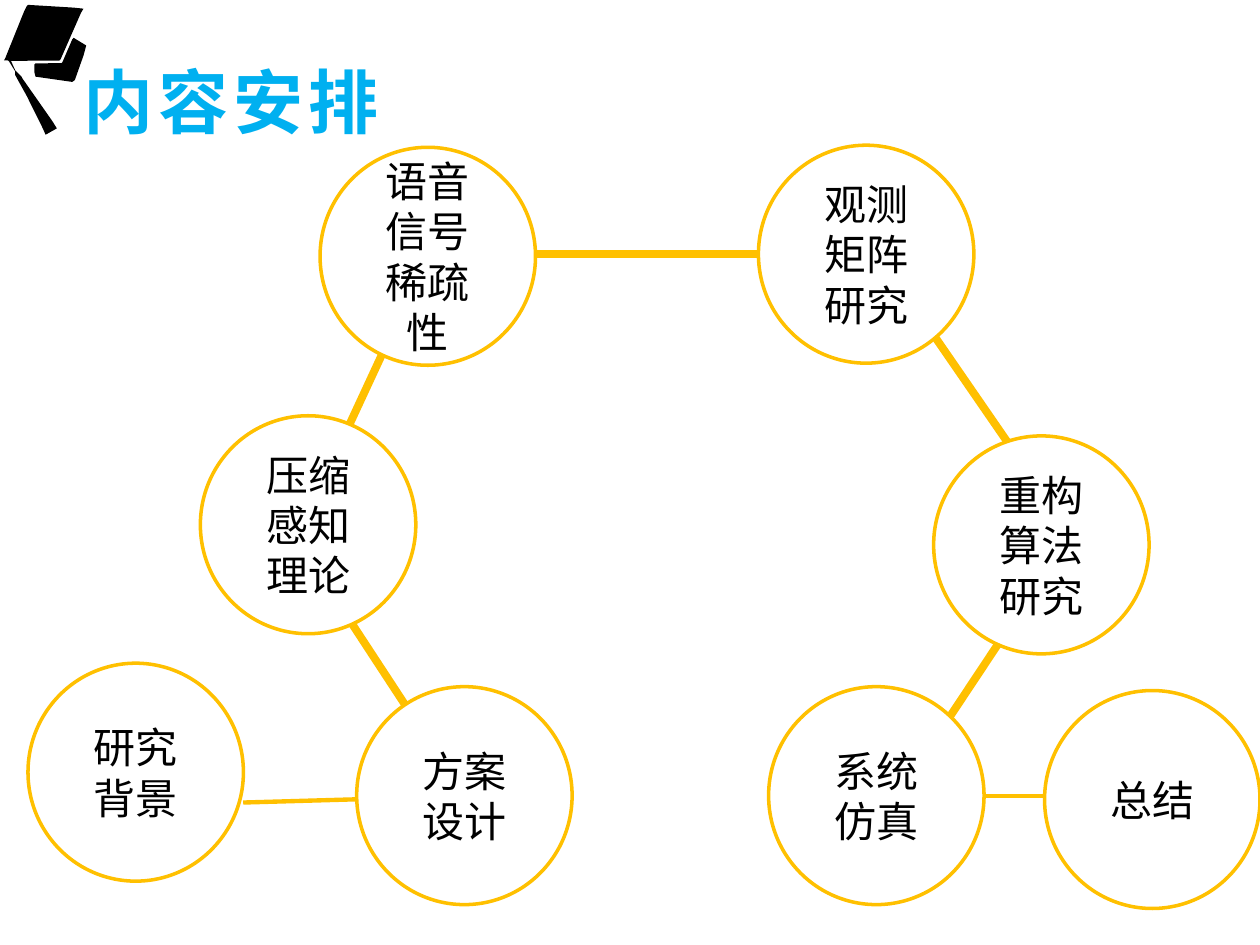
from lxml import etree
from pptx import Presentation
from pptx.dml.color import RGBColor
from pptx.enum import shapes, text
from pptx.oxml import ns
from pptx.util import Pt

BLUE = RGBColor(0x00, 0xB0, 0xF0)
GOLD = RGBColor(0xFF, 0xC0, 0x00)
BLACK = RGBColor(0, 0, 0)
WHITE = RGBColor(0xFF, 0xFF, 0xFF)
CJK_FONT = "Noto Sans CJK SC"

CIRCLE_WIDTH, CIRCLE_HEIGHT = 123.12, 124.56

# Topic circles: label, left, top within the diagram box
TOPICS = [
    ("压缩感知理论", 98.5, 154.6),
    ("研究背景", 0, 296),
    ("方案设计", 187.8, 309.4),
    ("语音信号稀疏性", 166.9, 1.2),
    ("观测矩阵研究", 417.4, 0),
    ("重构算法研究", 517.5, 166.1),
    ("系统仿真", 423.2, 309.4),
    ("总结", 580.9, 311.6),
]

# Points where the links meet, within the diagram box
BACKGROUND, PLAN = (123, 375.6), (249.7, 372)
THEORY_LOW, THEORY_HIGH = (155.4, 228), (154.6, 222.3)
SPARSITY, MATRIX = (228.8, 62.4), (485.8, 62.4)
ALGORITHM, SIMULATION, SUMMARY = (596, 222.3), (496.6, 372), (621.9, 372)

# Links: start, end, width, oval ends
LINKS = [
    (BACKGROUND, PLAN, 2.5, ("tailEnd",)),
    (SIMULATION, SUMMARY, 2.5, ("headEnd",)),
    (THEORY_LOW, PLAN, 4.5, ("headEnd",)),
    (THEORY_HIGH, SPARSITY, 4.5, ("headEnd", "tailEnd")),
    (SPARSITY, MATRIX, 4.5, ("headEnd", "tailEnd")),
    (MATRIX, ALGORITHM, 4.5, ()),
    (ALGORITHM, SIMULATION, 4.5, ()),
]

# Graduation cap outlines, in points within the cap box
CAP_BOARD = [
    (4, 32), (6.5, 37.5), (10, 41), (10.5, 42), (20, 55.5), (28, 67),
    (30.2, 70.6), (23.8, 74.2), (22.2, 70.6), (13, 52), (8, 43), (6.4, 40),
    (6.4, 38), (3, 32.4), (2.2, 31.7), (0, 31.7), (0.6, 30.8), (11.5, 3.8),
    (13, 0.8), (13.8, 0), (40, 1.6), (45.4, 2.2), (44, 4.6), (32.4, 31),
    (31.7, 31.8),
]
CAP_BASE = [
    (18, 41), (17.4, 38.5), (17.4, 34), (18, 33.4), (32.9, 33.3),
    (33.5, 32.6), (39, 19.8), (39.8, 18.8), (47, 23.2), (45.5, 28.8),
    (40.5, 43), (39, 44),
]


def add_run(paragraph, words, size, color, latin):
    run = paragraph.add_run()
    run.text = words
    run.font.size = Pt(size)
    run.font.name = latin
    run.font.color.rgb = color
    properties = run.font._element
    etree.SubElement(properties, ns.qn("a:ea")).set("typeface", CJK_FONT)
    return run


def add_title(slide, left, top, width, height):
    box = slide.shapes.add_textbox(Pt(left), Pt(top), Pt(width), Pt(height))
    box.text_frame.word_wrap = True
    box.text_frame.auto_size = text.MSO_AUTO_SIZE.SHAPE_TO_FIT_TEXT
    paragraph = box.text_frame.paragraphs[0]
    paragraph.alignment = text.PP_ALIGN.CENTER
    paragraph.line_spacing = 0.9
    run = add_run(paragraph, "内容安排", 40, BLUE, CJK_FONT)
    run.font.bold = True
    run.font._element.set("spc", "300")


def add_cap(slide, left, top):
    for outline in (CAP_BOARD, CAP_BASE):
        points = [(Pt(left + x), Pt(top + y)) for x, y in outline]
        builder = slide.shapes.build_freeform(*points[0])
        builder.add_line_segments(points[1:], close=True)
        shape = builder.convert_to_shape()
        shape.shadow.inherit = False
        shape.fill.solid()
        shape.fill.fore_color.rgb = BLACK
        shape.line.fill.background()


def add_link(slide, left, top, start, end, width, oval_ends):
    connector = slide.shapes.add_connector(
        shapes.MSO_CONNECTOR.STRAIGHT,
        Pt(left + start[0]), Pt(top + start[1]),
        Pt(left + end[0]), Pt(top + end[1]))
    connector.line.color.rgb = GOLD
    connector.line.width = Pt(width)
    line = connector.line._get_or_add_ln()
    for tag in oval_ends:
        etree.SubElement(line, ns.qn("a:" + tag)).set("type", "oval")
    etree.SubElement(connector._element.spPr, ns.qn("a:effectLst"))


def add_topic(slide, left, top, label):
    shape = slide.shapes.add_shape(
        shapes.MSO_SHAPE.OVAL, Pt(left), Pt(top),
        Pt(CIRCLE_WIDTH), Pt(CIRCLE_HEIGHT))
    shape.shadow.inherit = False
    shape.fill.solid()
    shape.fill.fore_color.rgb = WHITE
    shape.line.color.rgb = GOLD
    shape.line.width = Pt(2)
    frame = shape.text_frame
    frame.word_wrap = True
    frame.vertical_anchor = text.MSO_ANCHOR.MIDDLE
    frame.margin_left = frame.margin_right = Pt(8.64)
    frame.margin_top = frame.margin_bottom = Pt(4.32)
    paragraph = frame.paragraphs[0]
    paragraph.alignment = text.PP_ALIGN.CENTER
    add_run(paragraph, label, 24, BLACK, "Arial")


def add_diagram(slide, left, top):
    # Links lie behind the circles
    for link in LINKS:
        add_link(slide, left, top, *link)
    for label, x, y in TOPICS:
        add_topic(slide, left + x, top + y, label)


def main():
    presentation = Presentation()
    presentation.slide_width, presentation.slide_height = Pt(720), Pt(540)
    slide = presentation.slides.add_slide(presentation.slide_layouts[6])
    add_title(slide, 36, 35.3, 192.2, 51.1)
    add_cap(slide, 2.3, 2.8)
    add_diagram(slide, 16, 83)
    presentation.save("out.pptx")


if __name__ == "__main__":
    main()
